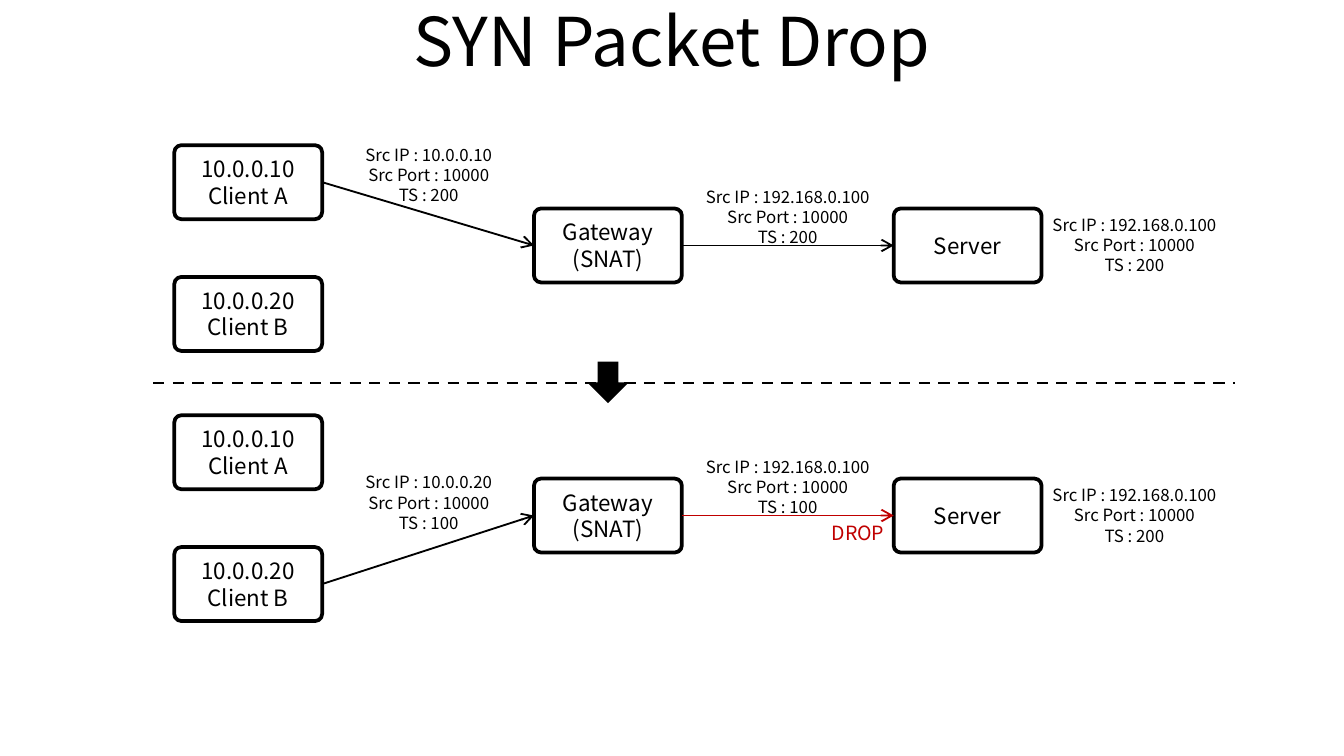
from lxml import etree
from pptx import Presentation
from pptx.dml.color import RGBColor
from pptx.enum.dml import MSO_LINE
from pptx.enum.shapes import MSO_CONNECTOR, MSO_SHAPE
from pptx.enum.text import MSO_ANCHOR, PP_ALIGN
from pptx.oxml.ns import qn
from pptx.util import Pt

BLACK = RGBColor(0x00, 0x00, 0x00)
WHITE = RGBColor(0xFF, 0xFF, 0xFF)
RED = RGBColor(0xC0, 0x00, 0x00)

FONT = "Noto Sans CJK KR"
LINE_HEIGHT = {12: 14.2, 10.5: 12.5, 9: 10.9}
STRAIGHT = MSO_CONNECTOR.STRAIGHT
DASH = MSO_LINE.DASH
ROUNDED, DOWN_ARROW = MSO_SHAPE.ROUNDED_RECTANGLE, MSO_SHAPE.DOWN_ARROW
MIDDLE, CENTER = MSO_ANCHOR.MIDDLE, PP_ALIGN.CENTER
LEFT_SIDE, RIGHT_SIDE = 1, 3

# Columns of the network and the distance between the two panels
CLIENT_X, GATEWAY_X, SERVER_X = (93.4 + 192.7 * column for column in range(3))
NODE_WIDTH, NODE_HEIGHT = 79.2, 39.6
LABEL_HEIGHT = 31.7
PANEL_STEP = 144.7


def write(frame, text, size, color=BLACK):
    frame.text = text
    frame.word_wrap = True
    frame.vertical_anchor = MIDDLE
    frame.margin_left = frame.margin_right = 0
    frame.margin_top = frame.margin_bottom = 0
    for paragraph in frame.paragraphs:
        paragraph.alignment = CENTER
        if size in LINE_HEIGHT:
            paragraph.line_spacing = Pt(LINE_HEIGHT[size])
        for run in paragraph.runs:
            run.font.name = FONT
            run.font.size = Pt(size)
            run.font.color.rgb = color


def add_node(slide, text, x, y):
    node = slide.shapes.add_shape(ROUNDED, Pt(x), Pt(y), Pt(NODE_WIDTH), Pt(NODE_HEIGHT))
    node.adjustments[0] = 0.095
    node.shadow.inherit = False
    node.fill.solid()
    node.fill.fore_color.rgb = WHITE
    node.line.color.rgb = BLACK
    node.line.width = Pt(2)
    write(node.text_frame, text, 12)
    return node


def add_label(slide, text, x, y, width, height=LABEL_HEIGHT, size=9, color=BLACK):
    label = slide.shapes.add_textbox(Pt(x), Pt(y), Pt(width), Pt(height))
    write(label.text_frame, text, size, color)


def add_line(slide, start, end, color, width):
    line = slide.shapes.add_connector(STRAIGHT, *(Pt(value) for value in start + end))
    line.line.color.rgb = color
    line.line.width = Pt(width)
    etree.SubElement(line._element.spPr, qn("a:effectLst"))
    return line


def add_link(slide, source, target, color=BLACK):
    link = add_line(slide, (0, 0), (0, 0), color, 1)
    link.begin_connect(source, RIGHT_SIDE)
    link.end_connect(target, LEFT_SIDE)
    etree.SubElement(link.line._get_or_add_ln(), qn("a:tailEnd"), type="arrow")


def packet(ip, timestamp):
    return f"Src IP : {ip}\nSrc Port : 10000\nTS : {timestamp}"


def add_panel(slide, top, sender, sender_ip, timestamp, label_y, server_color):
    # Hosts
    clients = [
        add_node(slide, "10.0.0.10\nClient A", CLIENT_X, top),
        add_node(slide, "10.0.0.20\nClient B", CLIENT_X, top + 70.6),
    ]
    gateway = add_node(slide, "Gateway\n(SNAT)", GATEWAY_X, top + 33.9)
    server = add_node(slide, "Server", SERVER_X, top + 33.9)

    # Route of the SYN packet
    add_link(slide, clients[sender], gateway)
    add_link(slide, gateway, server, server_color)

    # Packet before and after translation, and the state kept by the server
    add_label(slide, packet(sender_ip, timestamp), 184.3, top + label_y, 90.7)
    add_label(slide, packet("192.168.0.100", timestamp), 370.1, top + 22.4, 103.7)
    add_label(slide, packet("192.168.0.100", 200), 553.7, top + 37.5, 108)


def main():
    prs = Presentation()
    prs.slide_width, prs.slide_height = Pt(720), Pt(405)
    slide = prs.slides.add_slide(prs.slide_layouts[5])

    # Title
    title = slide.shapes.title
    title.left, title.top, title.width, title.height = Pt(36), Pt(-7.2), Pt(648), Pt(56.9)
    write(title.text_frame, "SYN Packet Drop", 36)

    # Accepted packet above, dropped packet below
    top = 77.8
    add_panel(slide, top, 0, "10.0.0.10", 200, 0, BLACK)
    add_panel(slide, top + PANEL_STEP, 1, "10.0.0.20", 100, 30.9, RED)
    add_label(slide, "DROP", 411.8, 275.8, 95.8, 18.7, 10.5, RED)

    # Step from the first panel to the second
    next_step = slide.shapes.add_shape(DOWN_ARROW, Pt(314.6), Pt(193.7), Pt(22.3), Pt(22.3))
    next_step.shadow.inherit = False
    next_step.fill.solid()
    next_step.fill.fore_color.rgb = BLACK
    next_step.line.fill.background()
    divider = add_line(slide, (82.1, 205.2), (661.7, 205.2), BLACK, 1.5)
    divider.line.dash_style = DASH

    prs.save("out.pptx")


if __name__ == "__main__":
    main()
